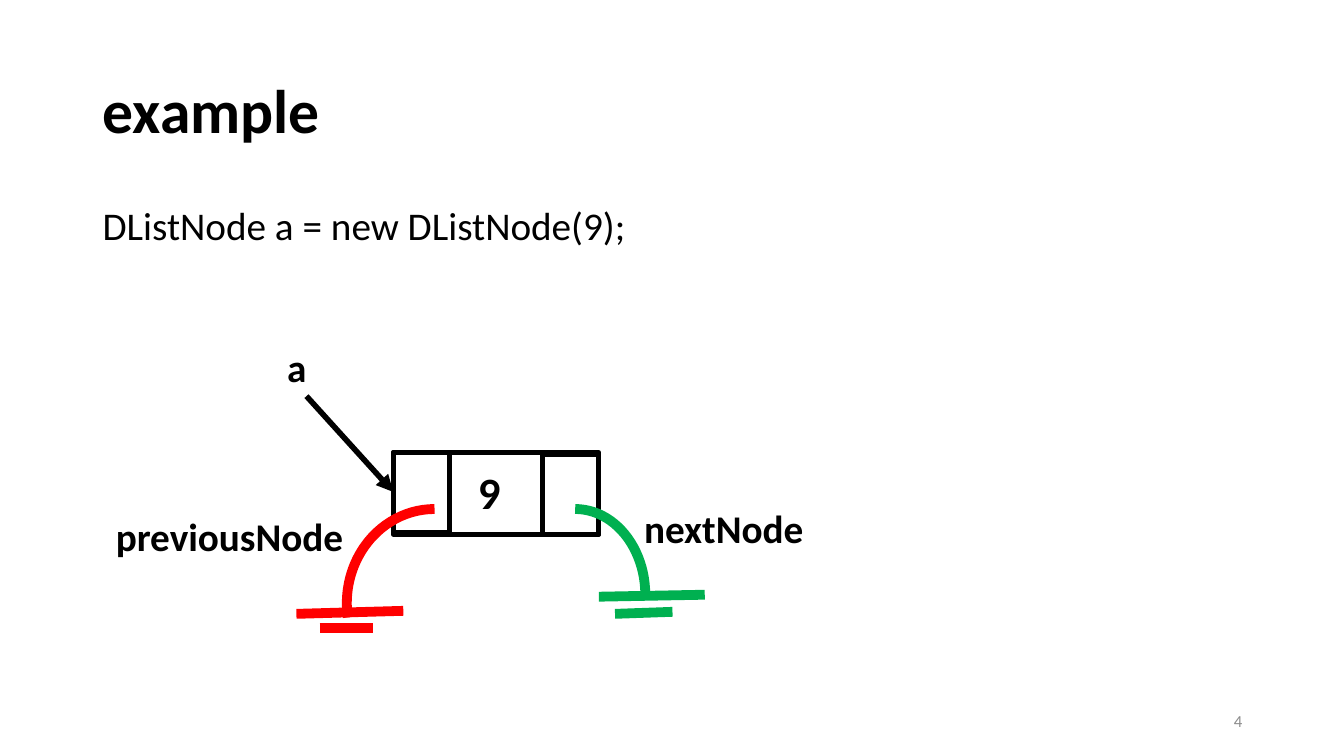
from pptx import Presentation, util as u
from pptx.dml.color import RGBColor
from pptx.enum import shapes, text
from pptx.oxml.ns import qn
from lxml import etree

PX = 9144  # 100 px to the inch
BLACK = RGBColor(0x00, 0x00, 0x00)
RED = RGBColor(0xFF, 0x00, 0x00)
GREEN = RGBColor(0x00, 0xB0, 0x50)
GRAY = RGBColor(0x8C, 0x8C, 0x8C)

deck = Presentation()
deck.slide_width, deck.slide_height = 1333 * PX, 750 * PX
slide = deck.slides.add_slide(deck.slide_layouts[6])
parts = slide.shapes


def shape(kind, box, color, width):
    item = parts.add_shape(kind, *(n * PX for n in box))
    item.shadow.inherit = False
    item.fill.background()
    item.line.color.rgb = color
    item.line.width = u.Pt(width)
    return item


def line(ends, color, width):
    item = parts.add_connector(shapes.MSO_CONNECTOR.STRAIGHT, *(n * PX for n in ends))
    item.line.color.rgb = color
    item.line.width = u.Pt(width)
    etree.SubElement(item._element.spPr, qn("a:effectLst"))
    return item


# Node: outer frame, then the previous and next cells
for box in [(390, 449, 204, 81), (390, 449, 56, 79), (538, 451, 56, 79)]:
    shape(shapes.MSO_SHAPE.RECTANGLE, box, BLACK, 3.75)

# Arrow from the variable to the node
arrow = line((304, 393, 390, 488), BLACK, 4)
etree.SubElement(arrow.line._get_or_add_ln(), qn("a:tailEnd"), type="triangle")

# Null links: an arc that ends in two ground bars
links = [
    (GREEN, (501, 505, 139, 170), (162, 0),
     [(594, 592, 699, 590), (610, 609, 667, 607)]),
    (RED, (344, 505, 174, 187), (102.41, 162),
     [(294, 609, 400, 606), (317, 623, 370, 623)]),
]
for color, box, turns, bars in links:
    arc = shape(shapes.MSO_SHAPE.ARC, box, color, 7)
    for i, turn in enumerate(turns):
        arc.adjustments[i] = turn
    for bar in bars:
        line(bar, color, 7)

# Words: box, size, bold, and what differs from the plain label
MID = text.MSO_ANCHOR.MIDDLE
words = [
    ("example", (92, 40, 1150, 145), 44, True,
     {"anchor": MID, "para": {"line_spacing": 0.9}}),
    ("DListNode a = new DListNode(9);", (92, 200, 1150, 69), 28, False,
     {"para": {"line_spacing": 0.9, "space_before": u.Pt(10)}}),
    ("a", (275, 336, 217, 57), 28, True, {}),
    ("nextNode", (629, 495, 217, 57), 28, True, {}),
    ("previousNode", (105, 503, 256, 57), 28, True, {}),
    ("9", (464, 456, 92, 64), 32, True, {}),
    ("4", (942, 695, 300, 40), 12, False,
     {"anchor": MID, "color": GRAY, "para": {"alignment": text.PP_ALIGN.RIGHT}}),
]
for word, box, size, bold, look in words:
    frame = parts.add_textbox(*(n * PX for n in box)).text_frame
    frame.word_wrap = True
    frame.vertical_anchor = look.get("anchor", text.MSO_ANCHOR.TOP)
    para = frame.paragraphs[0]
    for key, value in look.get("para", {}).items():
        setattr(para, key, value)
    run = para.add_run()
    run.text = word
    for key, value in {"name": "Calibri", "size": u.Pt(size), "bold": bold}.items():
        setattr(run.font, key, value)
    run.font.color.rgb = look.get("color", BLACK)

deck.save("out.pptx")
